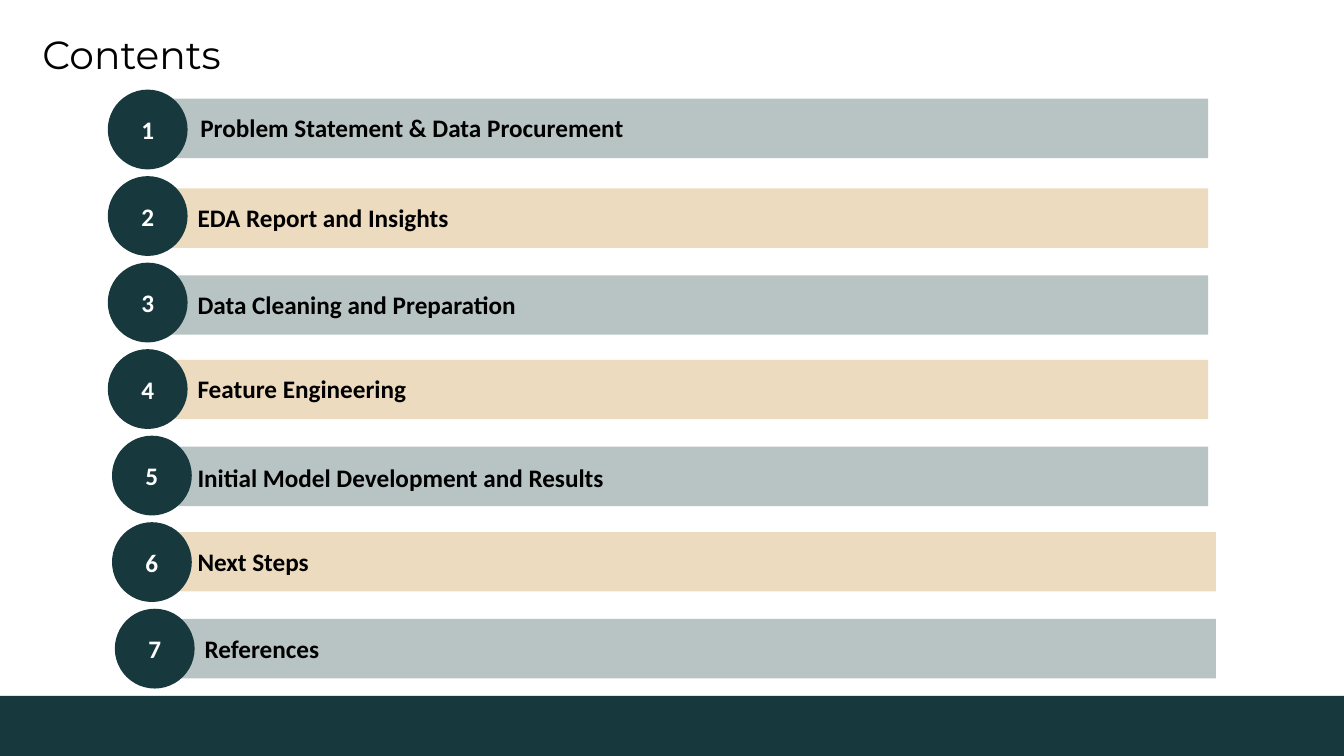
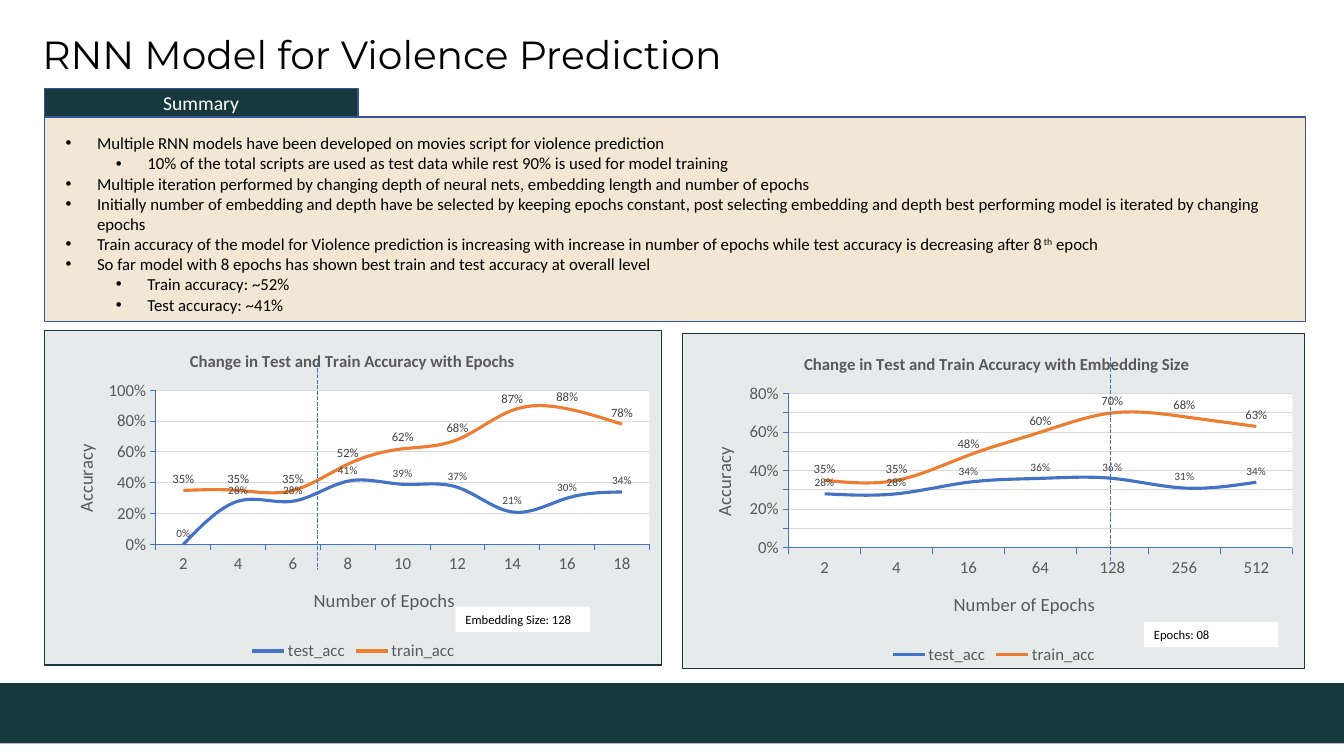
from pptx import Presentation
from pptx.chart.data import CategoryChartData
from pptx.dml.color import RGBColor
from pptx.enum.chart import XL_CHART_TYPE, XL_LABEL_POSITION, XL_LEGEND_POSITION, XL_TICK_MARK
from pptx.enum.dml import MSO_LINE
from pptx.enum.shapes import MSO_CONNECTOR, MSO_SHAPE
from pptx.enum.text import MSO_ANCHOR, MSO_AUTO_SIZE, PP_ALIGN
from pptx.oxml import parse_xml
from pptx.oxml.ns import nsdecls, qn
from pptx.util import Pt

DARK = RGBColor(0x17, 0x39, 0x3D)
TAN = RGBColor(0xC2, 0x88, 0x2B)
OUTLINE = RGBColor(0x32, 0x54, 0x91)
BLUE = RGBColor(0x44, 0x72, 0xC4)
ORANGE = RGBColor(0xED, 0x7D, 0x31)
GREY = RGBColor(0x59, 0x59, 0x59)
LABEL_GREY = RGBColor(0x40, 0x40, 0x40)
GRID = RGBColor(0xD9, 0xD9, 0xD9)
BLACK = RGBColor(0, 0, 0)
WHITE = RGBColor(0xFF, 0xFF, 0xFF)
BODY_FONT, TITLE_FONT = "Calibri", "Montserrat"
SLIDE_WIDTH, SLIDE_HEIGHT, BAND_HEIGHT = 960, 540, 43

# label, circle left, bar left, bar top, text left, text top
CONTENTS = [
    ("Problem Statement & Data Procurement", 77, 111, 70.5, 136, 77),
    ("EDA Report and Insights", 77, 111, 134.6, 134, 141),
    ("Data Cleaning and Preparation", 77, 111, 196.6, 134, 203),
    ("Feature Engineering", 77, 111, 257, 134, 263),
    ("Initial Model Development and Results", 80, 111, 319, 134, 327),
    ("Next Steps", 80, 116.6, 380, 134, 386.6),
    ("References", 82, 116.6, 442, 139, 448.6),
]
CIRCLE_TOP, CIRCLE_PITCH, CIRCLE_SIZE = 64, 61.8, 57
BAR_WIDTH, BAR_HEIGHT = 752, 42.5

# level, then runs; every second run is superscript
SUMMARY = [
    (0, ["Multiple RNN models have been developed on movies script for violence prediction"]),
    (1, ["10% of the total scripts are used as test data while rest 90% is used for model training"]),
    (0, ["Multiple iteration performed by changing depth of neural nets, embedding length and "
         "number of epochs"]),
    (0, ["Initially number of embedding and depth have be selected by keeping epochs constant, "
         "post selecting embedding and depth best performing model is iterated by changing epochs"]),
    (0, ["Train accuracy of the model for Violence prediction is increasing with increase in "
         "number of epochs while test accuracy is decreasing after 8", "th", " epoch"]),
    (0, ["So far model with 8 epochs has shown best train and test accuracy at overall level"]),
    (1, ["Train accuracy: ~52%"]),
    (1, ["Test accuracy: ~41%"]),
]

CHARTS = [
    dict(title="Change in Test and Train Accuracy with Epochs",
         box=(31.7, 235.4, 441.4, 240), maximum=1, unit=0.2,
         categories=["2", "4", "6", "8", "10", "12", "14", "16", "18"],
         test=[0, 0.28, 0.28, 0.41, 0.39, 0.37, 0.21, 0.3, 0.34],
         train=[0.35, 0.35, 0.35, 0.52, 0.62, 0.68, 0.87, 0.88, 0.78],
         plot=(0.18, 0.18, 0.8, 0.46), title_left=0.23,
         marker=(226.8, 259.2, 407.5),
         note="Embedding Size: 128", note_at=(325.4, 433.4)),
    dict(title="Change in Test and Train Accuracy with Embedding Size",
         box=(487.4, 237.8, 445, 240), maximum=0.8, unit=0.1,
         categories=["2", "4", "16", "64", "128", "256", "512"],
         test=[0.28, 0.28, 0.34, 0.36, 0.36, 0.31, 0.34],
         train=[0.35, 0.35, 0.48, 0.6, 0.7, 0.68, 0.63],
         plot=(0.17, 0.18, 0.81, 0.46), title_left=0.19,
         marker=(793.4, 254.9, 402.5),
         note="Epochs: 08", note_at=(817.2, 444.2)),
]


def style_font(font, size, color=BLACK, bold=False, name=BODY_FONT):
    font.size, font.bold, font.name = Pt(size), bold, name
    font.color.rgb = color


def place(shape, left, top, width, height):
    shape.left, shape.top, shape.width, shape.height = map(Pt, (left, top, width, height))


def write_text(shape, items, size, align=PP_ALIGN.LEFT, anchor=MSO_ANCHOR.TOP,
               bullets=False, line_spacing=1.0, **font_format):
    """Fill a shape with (level, runs) paragraphs, or with one plain string."""
    if isinstance(items, str):
        items = [(0, [items])]
    frame = shape.text_frame
    frame.word_wrap = True
    frame.auto_size = MSO_AUTO_SIZE.NONE
    frame.vertical_anchor = anchor
    for index, (level, runs) in enumerate(items):
        paragraph = frame.paragraphs[0] if index == 0 else frame.add_paragraph()
        paragraph.level = level
        paragraph.alignment = align
        paragraph.line_spacing = line_spacing
        paragraph.space_before = paragraph.space_after = Pt(0)
        if bullets:
            properties = paragraph._p.get_or_add_pPr()
            properties.set("marL", str(Pt(22.5 + 36 * level)))
            properties.set("indent", str(-Pt(22.5)))
            properties.append(parse_xml(f'<a:buFont {nsdecls("a")} typeface="Arial"/>'))
            properties.append(parse_xml(f'<a:buChar {nsdecls("a")} char="•"/>'))
        for position, text in enumerate(runs):
            run = paragraph.add_run()
            run.text = text
            style_font(run.font, size, **font_format)
            if position % 2:
                run.font._element.set("baseline", "30000")


def add_block(slide, kind, box, fill, opacity=100, outline=None):
    shape = slide.shapes.add_shape(kind, *map(Pt, box))
    shape.shadow.inherit = False
    shape.fill.solid()
    shape.fill.fore_color.rgb = fill
    if opacity < 100:
        color = shape._element.spPr.find(qn("a:solidFill"))[0]
        color.append(parse_xml(f'<a:alpha {nsdecls("a")} val="{opacity * 1000}"/>'))
    if outline is None:
        shape.line.fill.background()
    else:
        shape.line.color.rgb = outline
        shape.line.width = Pt(1)
    return shape


def add_base_slide(presentation, layout_index, title, title_width, band_top):
    """Add a slide with the shared title style and bottom band."""
    slide = presentation.slides.add_slide(presentation.slide_layouts[layout_index])
    add_block(slide, MSO_SHAPE.RECTANGLE, (0, band_top, SLIDE_WIDTH, BAND_HEIGHT), DARK)
    place(slide.shapes.title, 23, 16.6, title_width, 42.5)
    write_text(slide.shapes.title, title, 28, anchor=MSO_ANCHOR.BOTTOM,
               line_spacing=0.9, name=TITLE_FONT)
    return slide


def manual_layout(left, top, width=None, height=None):
    target = '<c:layoutTarget val="inner"/>' if width else ""
    size = f'<c:w val="{width}"/><c:h val="{height}"/>' if width else ""
    return parse_xml(
        f'<c:layout {nsdecls("c")}><c:manualLayout>{target}<c:xMode val="edge"/>'
        f'<c:yMode val="edge"/><c:x val="{left}"/><c:y val="{top}"/>{size}'
        '</c:manualLayout></c:layout>')


def remove_layout(element):
    layout = element.find(qn("c:layout"))
    if layout is not None:
        element.remove(layout)


def write_chart_title(title, text, left, top, size, bold=False, rotation=0):
    run = title.text_frame.paragraphs[0].add_run()
    run.text = text
    style_font(run.font, size, GREY, bold)
    element = title._element
    body = element.find(".//" + qn("a:bodyPr"))
    body.set("rot", str(rotation * 60000))
    body.set("vert", "horz")
    remove_layout(element)
    element.find(qn("c:tx")).addnext(manual_layout(left, top))


def chart_fill(color, opacity=100, border=""):
    return parse_xml(
        f'<c:spPr {nsdecls("c", "a")}><a:solidFill><a:srgbClr val="{color}">'
        f'<a:alpha val="{opacity * 1000}"/></a:srgbClr></a:solidFill>{border}</c:spPr>')


def add_accuracy_chart(slide, content):
    data = CategoryChartData(number_format="0%")
    data.categories = content["categories"]
    data.add_series("test_acc", content["test"])
    data.add_series("train_acc", content["train"])
    chart = slide.shapes.add_chart(XL_CHART_TYPE.LINE, *map(Pt, content["box"]), data).chart
    style_font(chart.font, 10)

    chart.has_title = True
    write_chart_title(chart.chart_title, content["title"], content["title_left"], 0.05, 12, True)
    chart.has_legend = True
    chart.legend.position = XL_LEGEND_POSITION.BOTTOM
    chart.legend.include_in_layout = False
    style_font(chart.legend.font, 12, GREY)

    for axis in (chart.category_axis, chart.value_axis):
        style_font(axis.tick_labels.font, 12, GREY)
        axis.major_tick_mark = XL_TICK_MARK.OUTSIDE
        axis.minor_tick_mark = XL_TICK_MARK.NONE
        axis.format.line.color.rgb = BLUE
        axis.format.line.width = Pt(0.75)
    write_chart_title(chart.category_axis.axis_title, "Number of Epochs", 0.43, 0.76, 13.3)
    value_axis = chart.value_axis
    write_chart_title(value_axis.axis_title, "Accuracy", 0.04, 0.33, 13.3, rotation=-90)
    value_axis.minimum_scale, value_axis.maximum_scale = 0, content["maximum"]
    value_axis.major_unit = content["unit"]
    value_axis.tick_labels.number_format = "0%"
    value_axis.tick_labels.number_format_is_linked = False
    value_axis.has_major_gridlines = True
    value_axis.major_gridlines.format.line.color.rgb = GRID
    value_axis.major_gridlines.format.line.width = Pt(0.75)

    plot = chart.plots[0]
    plot.vary_by_categories = False
    for series, color, label_size in zip(plot.series, (BLUE, ORANGE), (8, 9)):
        series.smooth = True
        series.format.line.color.rgb = color
        series.format.line.width = Pt(2.25)
        labels = series.data_labels
        labels.show_value = True
        labels.position = XL_LABEL_POSITION.ABOVE
        labels.number_format = "0%"
        labels.number_format_is_linked = False
        style_font(labels.font, label_size, LABEL_GREY)

    chart_element = chart._chartSpace.find(qn("c:chart"))
    border = (f'<a:ln w="{Pt(0.75)}"><a:solidFill><a:srgbClr val="{DARK}"/>'
              '</a:solidFill></a:ln>')
    chart_element.addnext(chart_fill(DARK, 10, border))
    plot_area = chart_element.find(qn("c:plotArea"))
    remove_layout(plot_area)
    plot_area.insert(0, manual_layout(*content["plot"]))
    plot_area.append(chart_fill(WHITE))


def add_marker(slide, x, top, bottom):
    marker = slide.shapes.add_connector(MSO_CONNECTOR.STRAIGHT, Pt(x), Pt(top), Pt(x), Pt(bottom))
    marker.line.color.rgb = BLUE
    marker.line.width = Pt(1)
    marker.line.dash_style = MSO_LINE.SQUARE_DOT
    marker._element.spPr.append(parse_xml(f'<a:effectLst {nsdecls("a")}/>'))


def build_contents(presentation):
    slide = add_base_slide(presentation, 5, "Contents", 551, 497)
    for index, (label, circle_left, bar_left, bar_top, text_left, text_top) in enumerate(CONTENTS):
        add_block(slide, MSO_SHAPE.RECTANGLE, (bar_left, bar_top, BAR_WIDTH, BAR_HEIGHT),
                  TAN if index % 2 else DARK, 30)
        circle = add_block(slide, MSO_SHAPE.OVAL,
                           (circle_left, CIRCLE_TOP + CIRCLE_PITCH * index,
                            CIRCLE_SIZE, CIRCLE_SIZE), DARK)
        write_text(circle, str(index + 1), 18, PP_ALIGN.CENTER, MSO_ANCHOR.MIDDLE,
                   color=WHITE, bold=True)
        label_box = slide.shapes.add_textbox(Pt(text_left), Pt(text_top), Pt(500), Pt(29))
        write_text(label_box, label, 18, bold=True)


def build_model(presentation):
    slide = add_base_slide(presentation, 1, "RNN Model for Violence Prediction", 909, 488)
    add_block(slide, MSO_SHAPE.RECTANGLE, (31.7, 83.5, 900.7, 146), TAN, 20, OUTLINE)
    tab = add_block(slide, MSO_SHAPE.RECTANGLE, (31.7, 63.4, 224, 20), DARK, outline=OUTLINE)
    write_text(tab, "Summary", 14, PP_ALIGN.CENTER, MSO_ANCHOR.MIDDLE, color=WHITE)
    body = slide.placeholders[1]
    place(body, 39.6, 91.4, 880, 152.6)
    write_text(body, SUMMARY, 12, bullets=True)
    # Bring the list in front of the panel behind it
    slide.shapes._spTree.append(body._element)
    for content in CHARTS:
        add_accuracy_chart(slide, content)
        add_marker(slide, *content["marker"])
        note = add_block(slide, MSO_SHAPE.RECTANGLE, (*content["note_at"], 96, 18), WHITE)
        write_text(note, content["note"], 9)


def main():
    presentation = Presentation()
    presentation.slide_width, presentation.slide_height = Pt(SLIDE_WIDTH), Pt(SLIDE_HEIGHT)
    build_contents(presentation)
    build_model(presentation)
    presentation.save("out.pptx")


if __name__ == "__main__":
    main()
